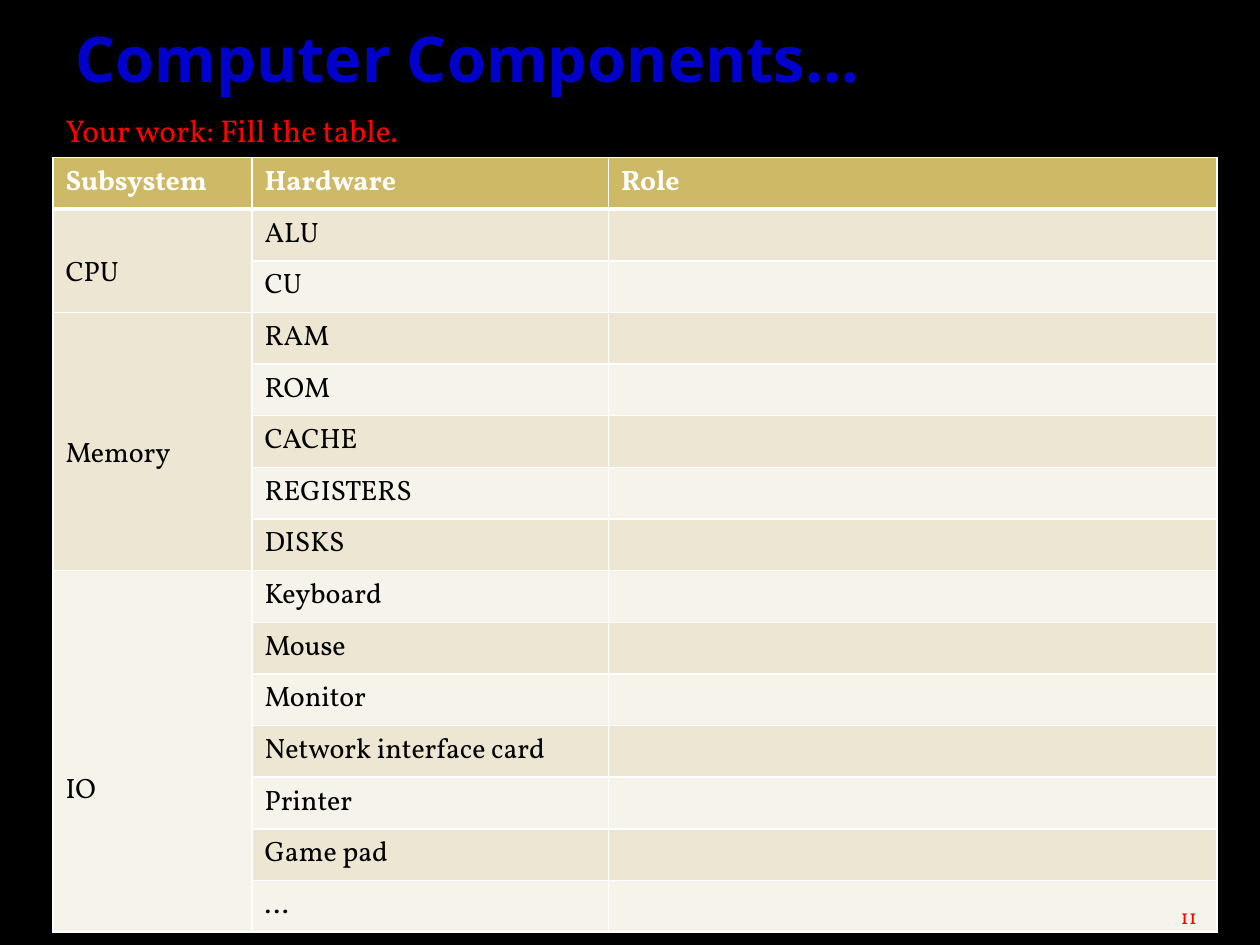
from lxml.etree import SubElement
from pptx import Presentation
from pptx.dml.color import RGBColor
from pptx.enum.text import MSO_ANCHOR, PP_ALIGN
from pptx.oxml.ns import qn
from pptx.util import Inches, Pt

BLACK = RGBColor(0x00, 0x00, 0x00)
WHITE = RGBColor(0xFF, 0xFF, 0xFF)
BLUE = RGBColor(0x00, 0x00, 0xCC)
RED = RGBColor(0xFF, 0x00, 0x00)
GOLD = RGBColor(0xCE, 0xB9, 0x66)
SAND = RGBColor(0xED, 0xE6, 0xD3)
CREAM = RGBColor(0xF6, 0xF3, 0xEA)

SANS = "Open Sans"
SERIF = "Vollkorn"

HEADS = ["Subsystem", "Hardware", "Role"]
WIDTHS = [1.58, 2.83, 4.83]
ROW = 0.41
LINE = 0.31
PAD = 0.05

GROUPS = [
    ("CPU", 1, ["ALU", "CU"]),
    ("Memory", 3, ["RAM", "ROM", "CACHE", "REGISTERS", "DISKS"]),
    ("IO", 5, ["Keyboard", "Mouse", "Monitor", "Network interface card",
               "Printer", "Game pad", "…"]),
]


def style(para, face, size, color, bold=False):
    """Format every run of a paragraph."""
    for run in para.runs:
        font = run.font
        font.name, font.size, font.bold = face, Pt(size), bold
        font.color.rgb = color


def add_text(slide, box, text, face, size, color, bold=False):
    """Place one line of text in a box and return its frame."""
    frame = slide.shapes.add_textbox(*map(Inches, box)).text_frame
    frame.word_wrap = True
    frame.text = text
    style(frame.paragraphs[0], face, size, color, bold)
    return frame


def add_number(slide, box, text):
    """Place the slide number at the lower right of its box."""
    frame = add_text(slide, box, text, SERIF, 12, RED)
    frame.margin_left = frame.margin_right = 0
    frame.vertical_anchor = MSO_ANCHOR.BOTTOM
    frame.paragraphs[0].alignment = PP_ALIGN.RIGHT


def add_rules(cell, top=1, bottom=1):
    """Draw white borders around a cell."""
    props = cell._tc.get_or_add_tcPr()
    for side, width in zip("LRTB", (1, 1, top, bottom)):
        line = SubElement(props, qn(f"a:ln{side}"), w=str(Pt(width)))
        fill = SubElement(line, qn("a:solidFill"))
        SubElement(fill, qn("a:srgbClr"), val=str(WHITE))


def fill_cell(cell, text, fill, color=BLACK, bold=False):
    """Set the fill and text of a cell."""
    cell.fill.solid()
    cell.fill.fore_color.rgb = fill
    if text:
        cell.text = text
        style(cell.text_frame.paragraphs[0], SERIF, 16, color, bold)


def add_grid(slide, left, top):
    """Build the table of subsystems and their hardware."""
    count = 1 + sum(len(parts) for _, _, parts in GROUPS)
    box = map(Inches, (left, top, sum(WIDTHS), count * ROW))
    table = slide.shapes.add_table(count, len(HEADS), *box).table
    table.first_row = table.horz_banding = False
    for col, width in zip(table.columns, WIDTHS):
        col.width = Inches(width)
    for index, row in enumerate(table.rows):
        row.height = Inches(ROW)
        for cell in row.cells:
            add_rules(cell, 3 if index == 1 else 1, 3 if index == 0 else 1)
    for col, head in enumerate(HEADS):
        fill_cell(table.cell(0, col), head, GOLD, WHITE, True)
    start = 1
    for name, drop, parts in GROUPS:
        for row, part in enumerate(parts, start):
            band = SAND if row % 2 else CREAM
            for col, text in enumerate(("", part, "")):
                fill_cell(table.cell(row, col), text, band)
        label = table.cell(start, 0)
        label.merge(table.cell(start + len(parts) - 1, 0))
        fill_cell(label, name, SAND if start % 2 else CREAM)
        label.margin_top = Inches(PAD + drop * LINE)
        start += len(parts)


def main():
    """Build and save the slide."""
    deck = Presentation()
    deck.slide_width, deck.slide_height = Inches(10), Inches(7.5)
    slide = deck.slides.add_slide(deck.slide_layouts[6])
    slide.background.fill.solid()
    slide.background.fill.fore_color.rgb = BLACK
    title = add_text(slide, (0.5, 0.08, 9, 0.75), "Computer Components…",
                     SANS, 36, BLUE, True)
    title.vertical_anchor = MSO_ANCHOR.MIDDLE
    add_grid(slide, 0.42, 1.25)
    add_text(slide, (0.42, 0.83, 3.08, 0.4), "Your work: Fill the table.",
             SERIF, 18, RED)
    add_number(slide, (8.67, 7.17, 0.83, 0.25), "11")
    deck.save("out.pptx")


if __name__ == "__main__":
    main()
